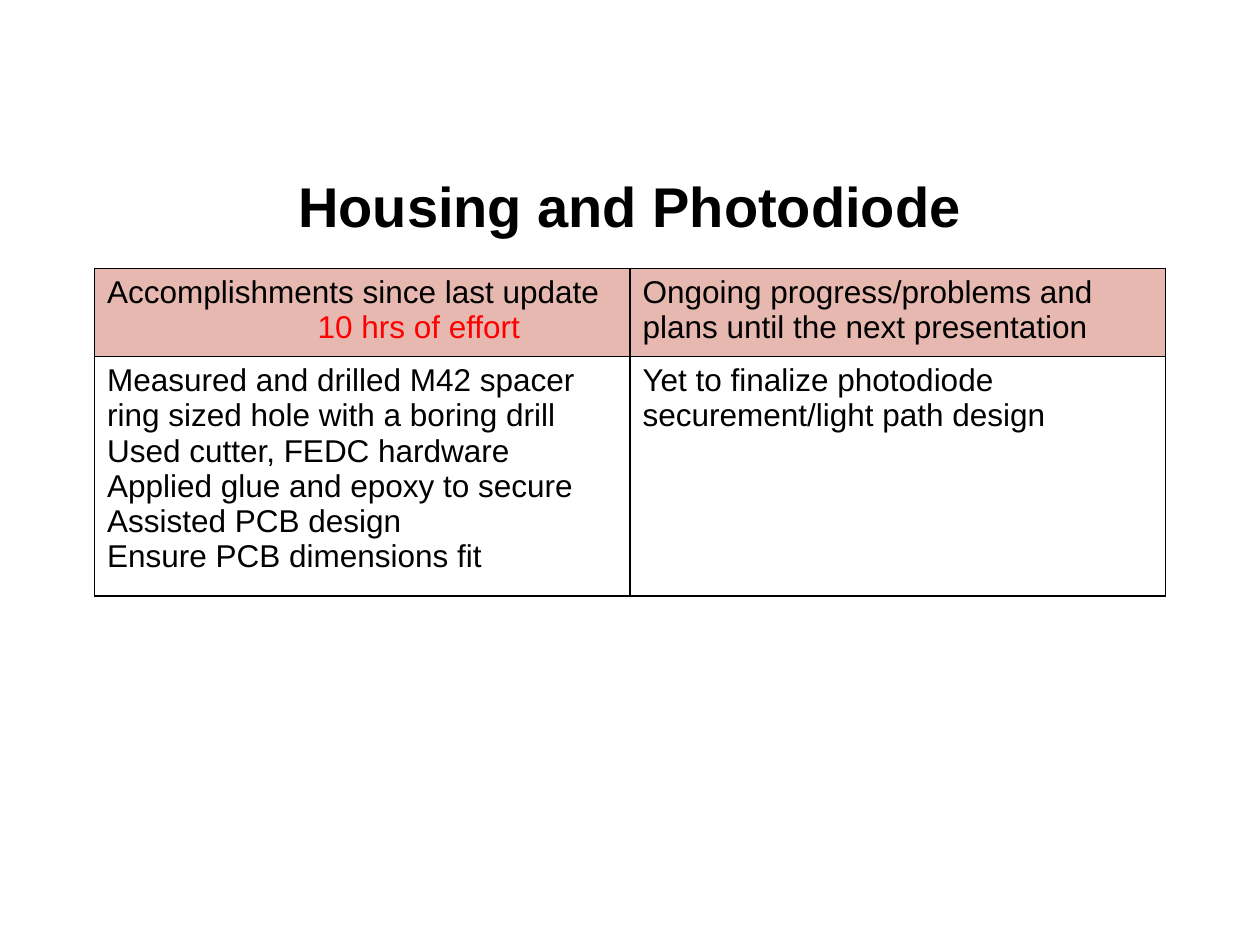
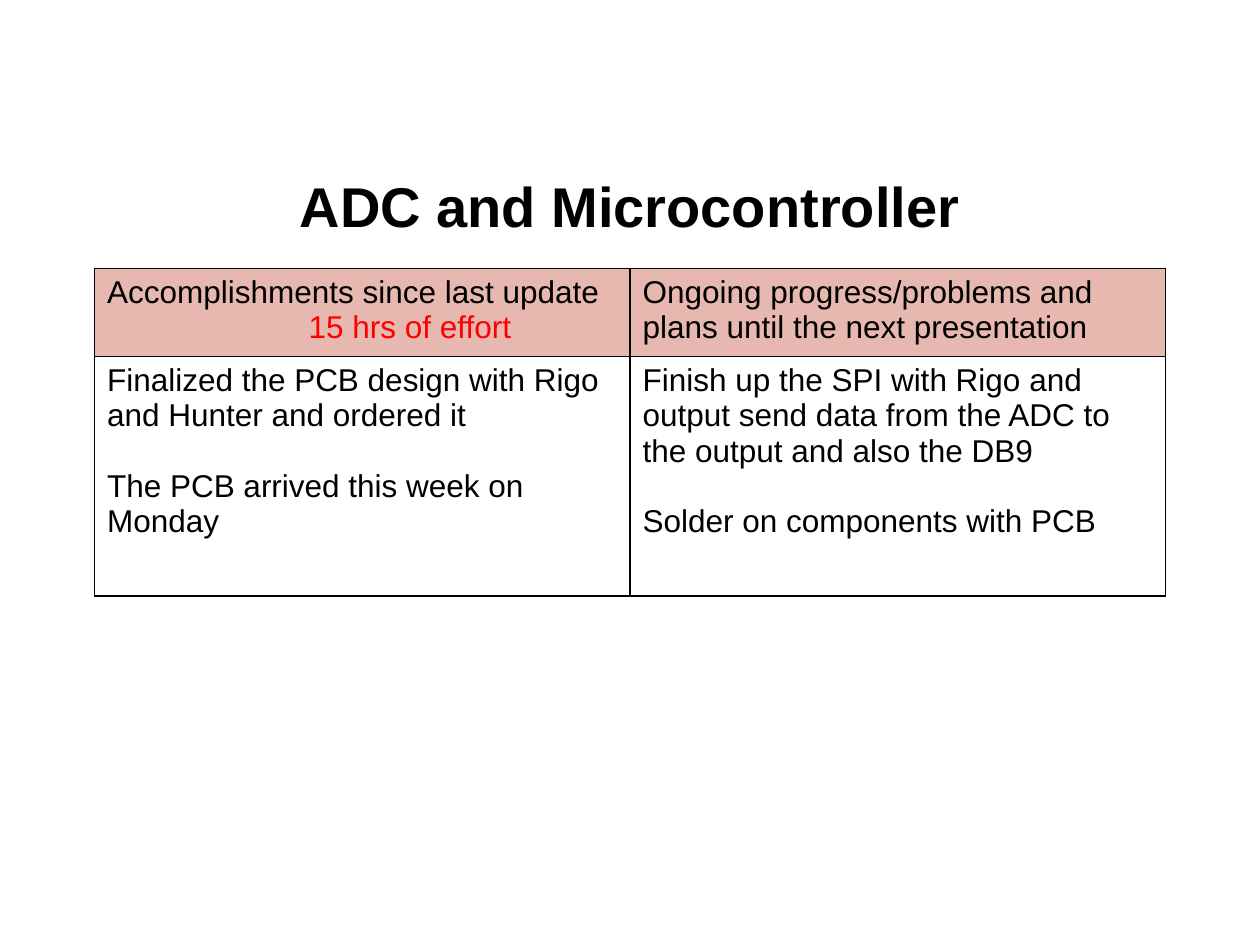
from lxml import etree
from pptx import Presentation
from pptx import util as u
from pptx.dml.color import RGBColor
from pptx.enum import text
from pptx.oxml import ns

COLOURS = {"text": "000000", "effort": "FF0000", "header": "E6B8AF", "border": "000000"}
DONE_HEADING = "Accomplishments since last update"
PLANS_HEADING = "Ongoing progress/problems and plans until the next presentation"

UPDATES = [
    {
        "title": "Housing and Photodiode",
        "effort": "10 hrs of effort",
        "effort_indent": 1.67,
        "paragraph_gap": 0,
        "done": [
            "Measured and drilled M42 spacer ring sized hole with a boring drill",
            "Used cutter, FEDC hardware",
            "Applied glue and epoxy to secure",
            "Assisted PCB design",
            "Ensure PCB dimensions fit",
        ],
        "plans": ["Yet to finalize photodiode securement/light path design"],
    },
    {
        "title": "ADC and Microcontroller",
        "effort": "15 hrs of effort",
        "effort_indent": 1.6,
        "paragraph_gap": 20,
        "done": [
            "Finalized the PCB design with Rigo and Hunter and ordered it",
            "The PCB arrived this week on Monday",
        ],
        "plans": [
            "Finish up the SPI with Rigo and output send data from the ADC to the output and also the DB9",
            "Solder on components with PCB",
        ],
    },
]

SLIDE_SIZE = (10, 7.5)
TITLE_BOX = (0.5, 1.15, 9, 0.88)
TABLE_CORNER = (0.75, 2.13)
COLUMN_WIDTH = 4.25
ROW_HEIGHTS = (0.7, 1.9)
TITLE_FONT = {"name": "Arial", "size": u.Pt(32), "bold": True}
BODY_FONT = {"name": "Arial", "size": u.Pt(18), "bold": False}


def inches(values):
    return [u.Inches(value) for value in values]


def write(paragraph, words, font_format, colour="text"):
    run = paragraph.add_run()
    run.text = words
    for name, value in font_format.items():
        setattr(run.font, name, value)
    run.font.color.rgb = RGBColor.from_string(COLOURS[colour])


def add_title(slide, words):
    frame = slide.shapes.add_textbox(*inches(TITLE_BOX)).text_frame
    frame.word_wrap = True
    frame.vertical_anchor = text.MSO_ANCHOR.MIDDLE
    paragraph = frame.paragraphs[0]
    paragraph.alignment = text.PP_ALIGN.CENTER
    paragraph.line_spacing = 1.15
    write(paragraph, words, TITLE_FONT)


def add_borders(cell):
    properties = cell._tc.get_or_add_tcPr()
    for position, side in enumerate(("lnL", "lnR", "lnT", "lnB")):
        line = etree.Element(ns.qn(f"a:{side}"), w=str(u.Pt(1)))
        fill = etree.SubElement(line, ns.qn("a:solidFill"))
        etree.SubElement(fill, ns.qn("a:srgbClr"), val=COLOURS["border"])
        properties.insert(position, line)


def fill_cell(cell, lines, gap=0):
    frame = cell.text_frame
    for index, words in enumerate(lines):
        paragraph = frame.add_paragraph() if index else frame.paragraphs[0]
        if index and gap:
            paragraph.space_before = u.Pt(gap)
        write(paragraph, words, BODY_FONT)


def add_effort(cell, words, indent):
    paragraph = cell.text_frame.add_paragraph()
    paragraph._p.get_or_add_pPr().set("marL", str(u.Inches(indent)))
    write(paragraph, words, BODY_FONT, "effort")


def add_update_table(slide, update):
    size = (2 * COLUMN_WIDTH, sum(ROW_HEIGHTS))
    table = slide.shapes.add_table(2, 2, *inches(TABLE_CORNER + size)).table
    table.first_row = table.horz_banding = False
    for column in table.columns:
        column.width = u.Inches(COLUMN_WIDTH)
    for row, height in zip(table.rows, ROW_HEIGHTS):
        row.height = u.Inches(height)

    columns = ((DONE_HEADING, update["done"]), (PLANS_HEADING, update["plans"]))
    for index, (heading, lines) in enumerate(columns):
        header, body = table.cell(0, index), table.cell(1, index)
        header.fill.solid()
        header.fill.fore_color.rgb = RGBColor.from_string(COLOURS["header"])
        body.fill.background()
        fill_cell(header, [heading])
        fill_cell(body, lines, update["paragraph_gap"])
        for cell in (header, body):
            add_borders(cell)
    add_effort(table.cell(0, 0), update["effort"], update["effort_indent"])


def main():
    presentation = Presentation()
    presentation.slide_width, presentation.slide_height = inches(SLIDE_SIZE)
    for update in UPDATES:
        slide = presentation.slides.add_slide(presentation.slide_layouts[6])
        add_title(slide, update["title"])
        add_update_table(slide, update)
    presentation.save("out.pptx")


if __name__ == "__main__":
    main()
